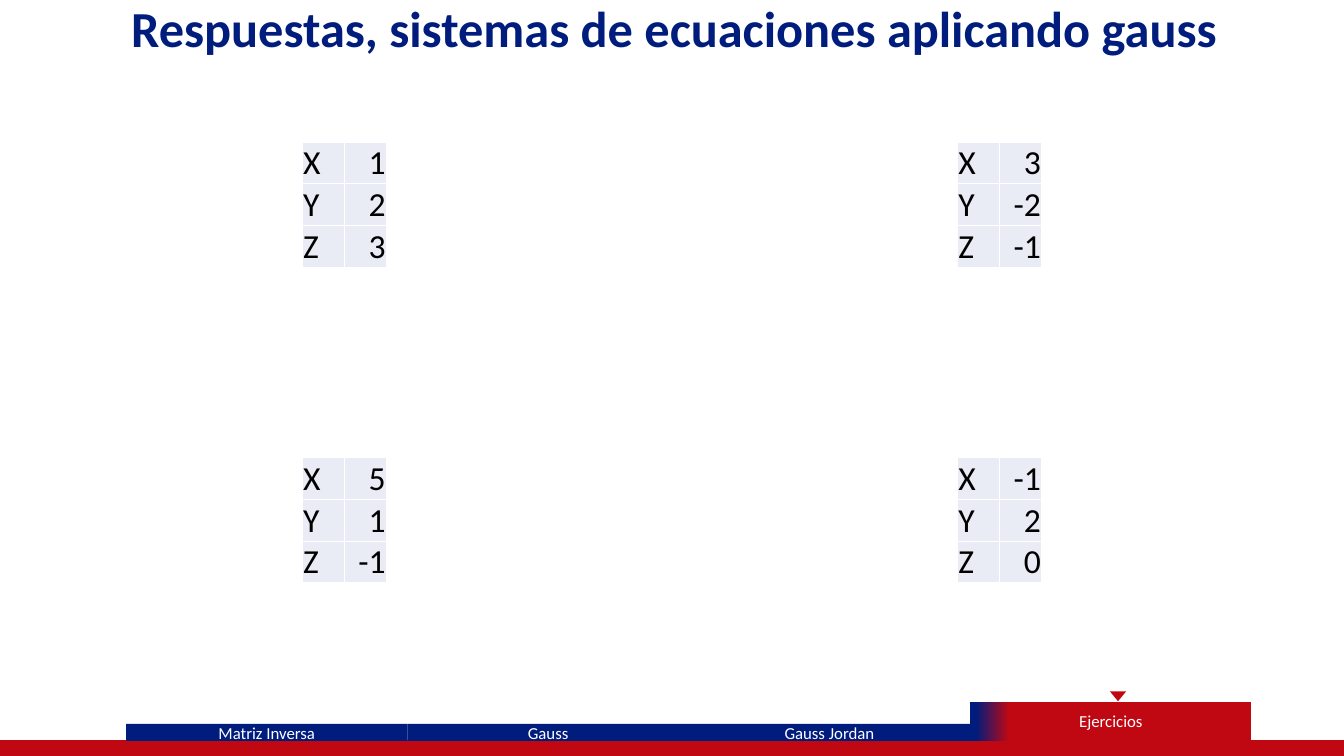
from lxml.etree import SubElement
from pptx import Presentation
from pptx.dml.color import RGBColor
from pptx.enum.shapes import MSO_SHAPE
from pptx.enum.text import MSO_ANCHOR, PP_ALIGN
from pptx.oxml.ns import qn
from pptx.util import Cm, Pt

TITLE = "Respuestas, sistemas de ecuaciones aplicando gauss"
SECTIONS = ["Matriz Inversa", "Gauss", "Gauss Jordan", "Ejercicios"]
CURRENT = "Ejercicios"
UNKNOWNS = ["X", "Y", "Z"]
ANSWERS = [["1", "2", "3"], ["3", "-2", "-1"], ["5", "1", "-1"], ["-1", "2", "0"]]

FONT = "Calibri"
NAVY = RGBColor(0x00, 0x1C, 0x7D)
RED = RGBColor(0xC0, 0x08, 0x12)
WHITE = RGBColor(0xFF, 0xFF, 0xFF)
BLACK = RGBColor(0x00, 0x00, 0x00)
PALE = RGBColor(0xE9, 0xEB, 0xF5)
PURPLE = RGBColor(0x36, 0x14, 0x7C)

TAB_LEFT, TAB_WIDTH, TAB_BOTTOM = 3.18, 7.09, 18.67
TAB_HEIGHT, CURRENT_HEIGHT = 0.43, 0.99
TABLE_LEFTS, TABLE_TOPS = (7.62, 24.13), (3.58, 11.53)
COLUMN_WIDTH, ROW_HEIGHT = 1.06, 1.04


def write(frame, text, size, color, align, bold=False):
    """Put one formatted run in the first paragraph and return it."""
    para = frame.paragraphs[0]
    para.alignment = align
    span = para.add_run()
    span.text = text
    span.font.name, span.font.size, span.font.bold = FONT, Pt(size), bold
    span.font.color.rgb = color
    return span


def add_block(page, preset, left, top, width, height, color):
    """Add a flat preset shape measured in centimetres."""
    block = page.shapes.add_shape(preset, Cm(left), Cm(top), Cm(width), Cm(height))
    block.shadow.inherit = False
    block.fill.solid()
    block.fill.fore_color.rgb = color
    block.line.fill.background()
    return block


def add_navigation(page):
    """Draw the bottom bar, the section tabs and the current marker."""
    bar = add_block(page, MSO_SHAPE.FLOWCHART_PROCESS, -0.03, TAB_BOTTOM, 33.91, 0.38, RED)
    bar.line.color.rgb = RED
    bar.line.width = Pt(1)
    for index, section in enumerate(SECTIONS):
        height = CURRENT_HEIGHT if section == CURRENT else TAB_HEIGHT
        left, top = TAB_LEFT + index * TAB_WIDTH, TAB_BOTTOM - height
        tab = add_block(page, MSO_SHAPE.RECTANGLE, left, top, TAB_WIDTH, height, NAVY)
        frame = tab.text_frame
        frame.margin_top = frame.margin_bottom = 0
        frame.vertical_anchor = MSO_ANCHOR.MIDDLE
        write(frame, section, 12, WHITE, PP_ALIGN.CENTER)
        if section == CURRENT:
            tab.fill.gradient()
            tab.fill.gradient_angle = 0
            for stop, (position, color) in zip(tab.fill.gradient_stops, [(0.02, NAVY), (0.14, RED)]):
                stop.position, stop.color.rgb = position, color
    marker = add_block(page, MSO_SHAPE.ISOSCELES_TRIANGLE, 27.97, 17.42, 0.41, 0.25, RED)
    marker.rotation = 180


def add_title(page):
    """Fill and place the outlined title."""
    title = page.shapes.title
    title.left, title.top, title.width, title.height = Cm(0.97), Cm(-0.2), Cm(32.06), Cm(1.8)
    title.text_frame.vertical_anchor = MSO_ANCHOR.MIDDLE
    span = write(title.text_frame, TITLE, 36, NAVY, PP_ALIGN.CENTER, bold=True)
    properties = span._r.get_or_add_rPr()
    outline = SubElement(properties, qn("a:ln"), w=str(Pt(0.75)))
    fill = SubElement(outline, qn("a:solidFill"))
    SubElement(fill, qn("a:srgbClr"), val=str(PURPLE))
    properties.insert(0, outline)


def add_answer(page, values, left, top):
    """Add one table of unknowns and their values."""
    count = len(UNKNOWNS)
    table = page.shapes.add_table(count, 2, Cm(left), Cm(top), Cm(2 * COLUMN_WIDTH),
                                  Cm(count * ROW_HEIGHT)).table
    table.first_row = table.horz_banding = False
    for row, pair in enumerate(zip(UNKNOWNS, values)):
        table.rows[row].height = Cm(ROW_HEIGHT)
        for column, align in enumerate((PP_ALIGN.LEFT, PP_ALIGN.RIGHT)):
            cell = table.cell(row, column)
            cell.fill.solid()
            cell.fill.fore_color.rgb = PALE
            cell.margin_left = cell.margin_right = cell.margin_top = Cm(0.02)
            cell.margin_bottom = 0
            cell.vertical_anchor = MSO_ANCHOR.BOTTOM
            write(cell.text_frame, pair[column], 24, BLACK, align)


def main():
    """Build the answers slide."""
    deck = Presentation()
    deck.slide_width, deck.slide_height = Cm(33.87), Cm(19.05)
    page = deck.slides.add_slide(deck.slide_layouts[5])
    add_navigation(page)
    add_title(page)
    for index, values in enumerate(ANSWERS):
        row, column = divmod(index, len(TABLE_LEFTS))
        add_answer(page, values, TABLE_LEFTS[column], TABLE_TOPS[row])
    deck.save("out.pptx")


if __name__ == "__main__":
    main()
